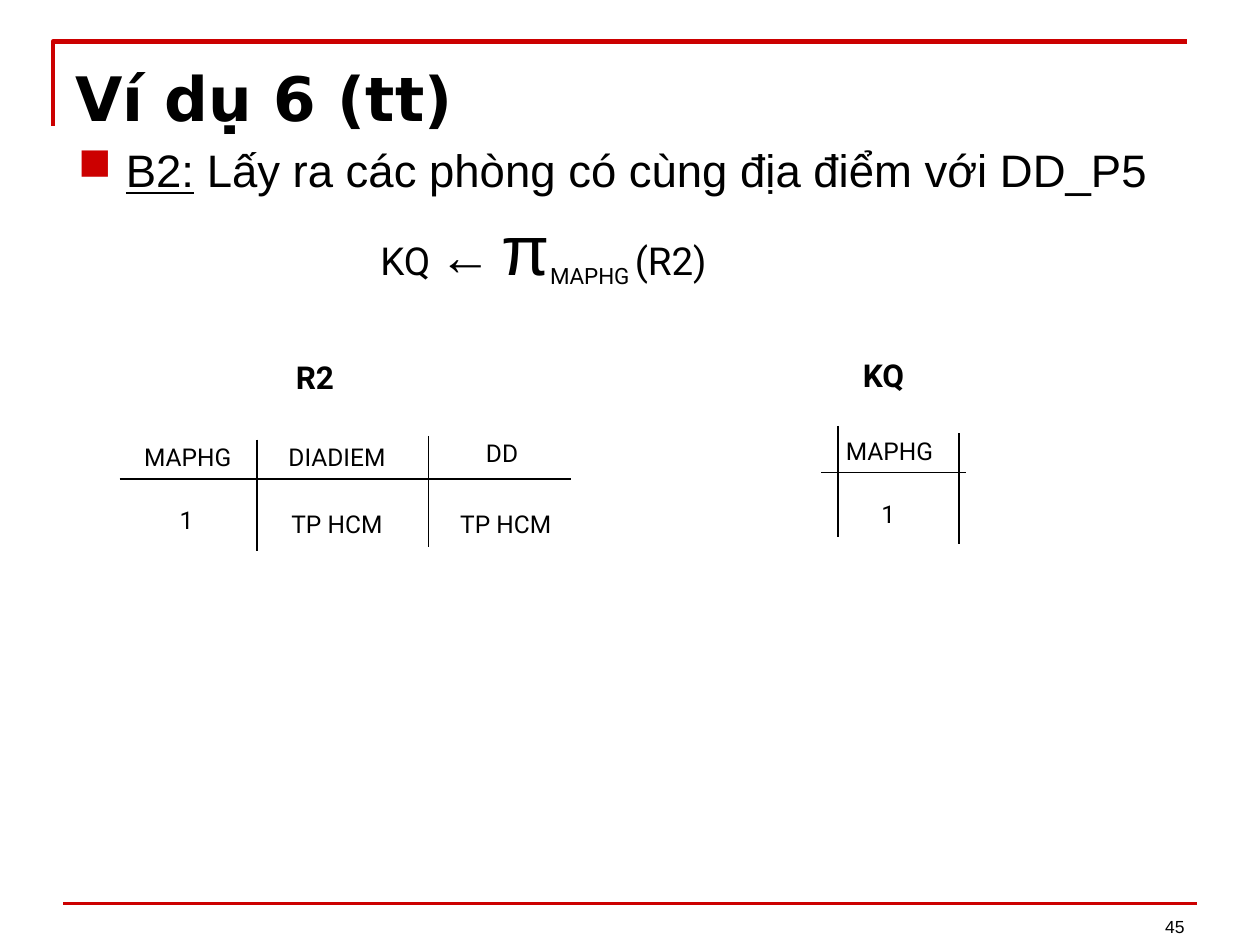
from dataclasses import dataclass

import pptx
import pptx.dml.color
import pptx.enum.shapes
import pptx.enum.text
import pptx.oxml
import pptx.oxml.ns
import pptx.util
from pptx.util import Inches

ALIGN = pptx.enum.text.PP_ALIGN
ANCHOR = pptx.enum.text.MSO_ANCHOR


@dataclass(frozen=True)
class Theme:
    """Colours, fonts and type sizes of the slide."""
    red: str = "CC0000"
    black: str = "000000"
    heading_font: str = "DejaVu Sans"
    body_font: str = "Arial"
    table_font: str = "Roboto"
    title_size: int = 35
    body_size: int = 26
    formula_size: int = 22
    arrow_size: int = 30
    pi_size: int = 40
    name_size: int = 18
    cell_size: int = 14
    number_size: int = 10


THEME = Theme()


def color(value):
    """Turn a hex string into a colour."""
    return pptx.dml.color.RGBColor.from_string(value)


def style(run, font, size, bold=False):
    """Set the look of a run."""
    run.font.name = font
    run.font.size = pptx.util.Pt(size)
    run.font.bold = bold
    run.font.color.rgb = color(THEME.black)


def add_text(slide, box, runs, align=ALIGN.LEFT, anchor=ANCHOR.TOP, inset=0.05, bold=False):
    """Add a text box of (text, font, size) runs and return its paragraph."""
    shape = slide.shapes.add_textbox(*map(Inches, box))
    frame = shape.text_frame
    frame.word_wrap = True
    frame.vertical_anchor = anchor
    frame.margin_top = Inches(inset)
    paragraph = frame.paragraphs[0]
    paragraph.alignment = align
    for text, font, size in runs:
        run = paragraph.add_run()
        run.text = text
        style(run, font, size, bold)
    return paragraph


def add_line(slide, start, end, line_color=THEME.black, width=1):
    """Draw a straight line between two points."""
    line = slide.shapes.add_connector(
        pptx.enum.shapes.MSO_CONNECTOR.STRAIGHT, *map(Inches, (*start, *end)))
    line.line.color.rgb = color(line_color)
    line.line.width = pptx.util.Pt(width)
    line._element.spPr.append(pptx.oxml.parse_xml(
        f"<a:effectLst {pptx.oxml.ns.nsdecls('a')}/>"))


def add_frame(slide, left, top, width, height):
    """Draw the red corner at the top and the red rule at the bottom."""
    builder = slide.shapes.build_freeform(Inches(left), Inches(top + height))
    builder.add_line_segments(
        [(Inches(left), Inches(top)), (Inches(left + width), Inches(top))], close=False)
    corner = builder.convert_to_shape()
    corner.shadow.inherit = False
    corner.fill.background()
    corner.line.color.rgb = color(THEME.red)
    corner.line.width = pptx.util.Pt(2.5)
    add_line(slide, (0.5, 7.17), (0.5 + width, 7.17), THEME.red, 2)


def add_step(slide, box, label, text):
    """Add the bulleted step with its underlined label."""
    font = THEME.body_font, THEME.body_size
    paragraph = add_text(slide, box, [(label, *font), (text, *font)], ALIGN.JUSTIFY, inset=0.09)
    paragraph.runs[0].font.underline = True
    properties = paragraph._p.get_or_add_pPr()
    properties.set("marL", str(Inches(0.38)))
    properties.set("indent", str(-Inches(0.38)))
    namespace = pptx.oxml.ns.nsdecls("a")
    for bullet in (f'<a:buClr {namespace}><a:srgbClr val="{THEME.red}"/></a:buClr>',
                   f'<a:buChar {namespace} char="■"/>'):
        properties.append(pptx.oxml.parse_xml(bullet))


def add_formula(slide, box):
    """Add the projection formula."""
    plain = THEME.table_font, THEME.formula_size
    paragraph = add_text(slide, box, [
        ("KQ ", *plain),
        ("←", THEME.body_font, THEME.arrow_size),
        (" ", *plain),
        ("π", THEME.body_font, THEME.pi_size),
        ("MAPHG ", *plain),
        ("(R2)", *plain),
    ])
    paragraph.runs[4].font._element.set("baseline", "-25000")


def add_relation(slide, left, top, width, name, name_left, rule, cells, dividers):
    """Draw a named relation with cells and dividers offset from its corner."""
    add_text(slide, (left + name_left, top, 0.85, 0.4),
             [(name, THEME.table_font, THEME.name_size)], bold=True)
    add_line(slide, (left, top + rule), (left + width, top + rule))
    for text, x, y, cell_width in cells:
        add_text(slide, (left + x, top + y, cell_width, 0.34),
                 [(text, THEME.table_font, THEME.cell_size)], ALIGN.CENTER)
    for x, y in dividers:
        add_line(slide, (left + x, top + y), (left + x, top + y + 0.88))


def main():
    """Build and save the slide."""
    presentation = pptx.Presentation()
    presentation.slide_width, presentation.slide_height = Inches(10), Inches(7.5)
    slide = presentation.slides.add_slide(presentation.slide_layouts[6])
    add_frame(slide, 0.42, 0.33, 9, 0.67)
    add_text(slide, (7.17, 6.99, 2.33, 0.5),
             [("45", THEME.body_font, THEME.number_size)], ALIGN.RIGHT, ANCHOR.BOTTOM)
    add_text(slide, (0.5, 0.39, 9, 0.68),
             [("Ví dụ 6 (tt)", THEME.heading_font, THEME.title_size)], inset=0.09, bold=True)
    add_step(slide, (0.52, 1.04, 9, 1.31), "B2:",
             " Lấy ra các phòng có cùng địa điểm với DD_P5")
    add_formula(slide, (2.92, 1.58, 5.25, 0.77))
    add_relation(slide, 0.95, 2.79, 3.58, "R2", 1.3, 1.01, [
        ("MAPHG", 0, 0.67, 1.08),
        ("DIADIEM", 1.08, 0.67, 1.29),
        ("DD", 2.45, 0.64, 1.17),
        ("1", -0.01, 1.17, 1.08),
        ("TP HCM", 1.06, 1.2, 1.33),
        ("TP HCM", 2.4, 1.2, 1.33),
    ], [(1.09, 0.7), (2.45, 0.67)])
    add_relation(slide, 6.52, 2.78, 1.15, "KQ", 0.23, 0.97, [
        ("MAPHG", 0, 0.63, 1.08),
        ("1", -0.01, 1.13, 1.08),
    ], [(0.13, 0.6), (1.09, 0.66)])
    presentation.save("out.pptx")


if __name__ == "__main__":
    main()
